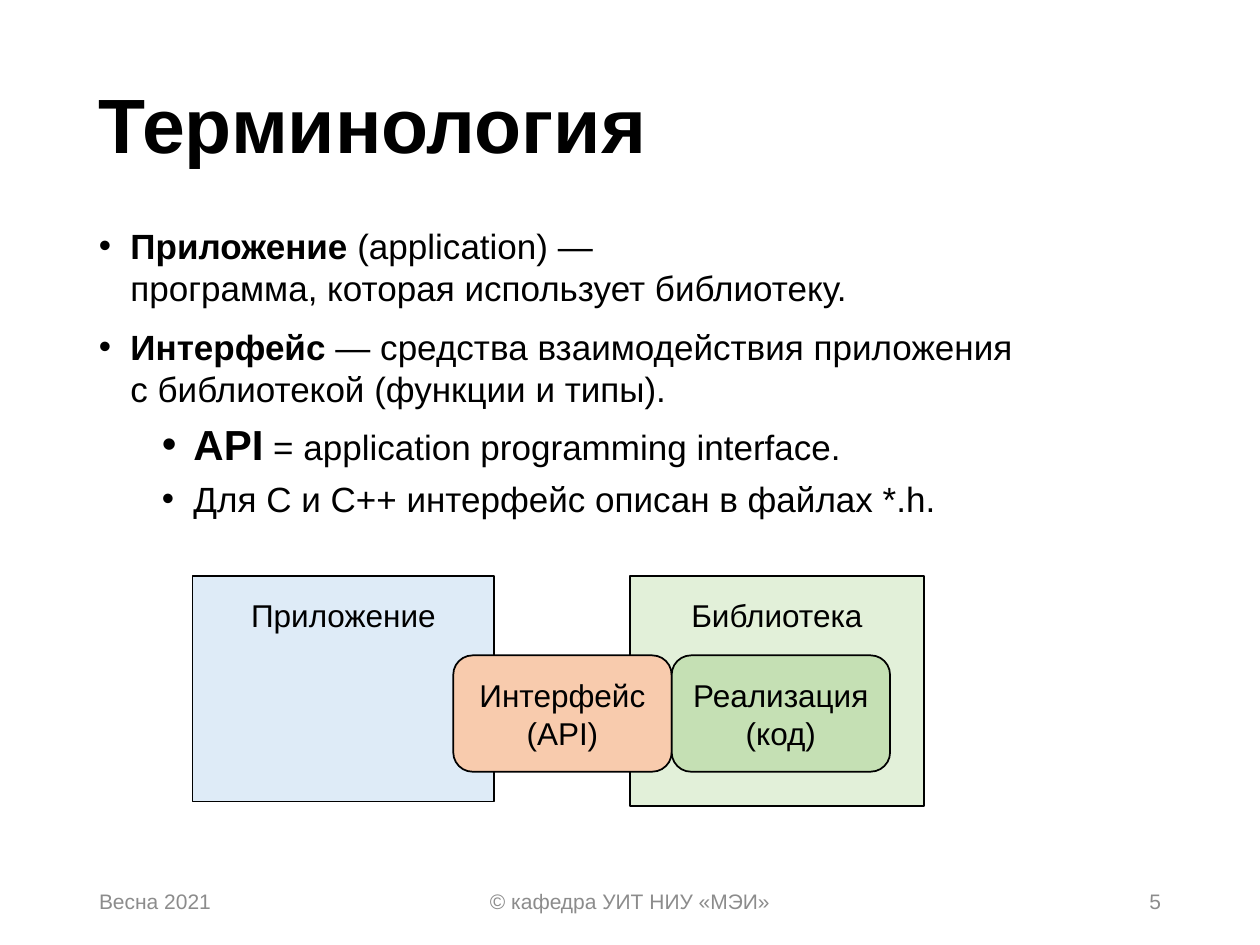
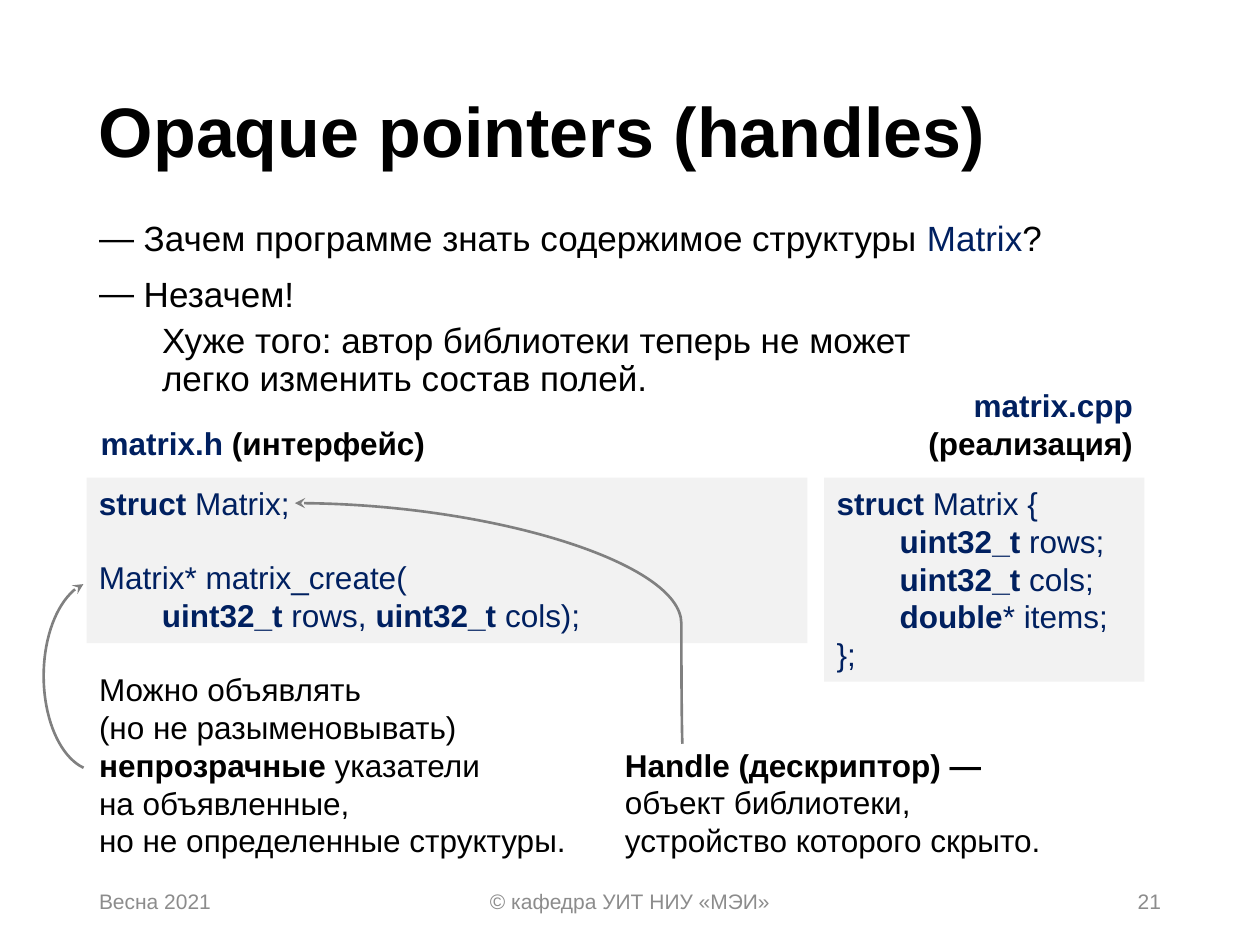
from dataclasses import dataclass
from lxml.etree import SubElement
from pptx import Presentation
from pptx.dml.color import RGBColor
from pptx.enum.shapes import MSO_CONNECTOR, MSO_SHAPE
from pptx.enum.text import MSO_ANCHOR, MSO_AUTO_SIZE, PP_ALIGN
from pptx.oxml.ns import qn
from pptx.util import Pt


@dataclass(frozen=True)
class Theme:
    font: str = "Arial"
    black: str = "000000"
    navy: str = "002060"
    footer_gray: str = "8C8C8C"
    arrow_gray: str = "808080"
    code_fill: str = "F2F2F2"
    application_fill: str = "DEEBF7"
    library_fill: str = "E2F0D9"
    interface_fill: str = "F8CBAD"
    implementation_fill: str = "C5E0B4"
    large_title: int = 44
    title: int = 40
    emphasis: int = 24
    body: int = 20
    label: int = 18
    footer: int = 12


THEME = Theme()
MARGIN = 49.5
CONTENT_WIDTH = 621
BOLD = {"bold": True}
NAVY = {"color": THEME.navy}
BULLET = {"bullet": "•", "left": 18, "hanging": 18, "before": 10}
SUB_BULLET = {"bullet": "•", "left": 54, "hanging": 18, "before": 5, "level": 1}
DASH = {"bullet": "—", "left": 18, "hanging": 18, "before": 10, "spacing": 0.9}
REMARK = {"left": 36, "before": 5, "spacing": 0.9, "level": 1}
INDENTED = {"left": 36}
AFTER_GAP = {"before": 20.7}

FOOTER = [
    (MARGIN, 162, "Весна 2021", PP_ALIGN.LEFT),
    (238.5, 243, "© кафедра УИТ НИУ «МЭИ»", PP_ALIGN.CENTER),
]

TERMS = [
    ([("Приложение", BOLD), " (application) —\nпрограмма, которая использует библиотеку."], BULLET),
    ([("Интерфейс", BOLD), " — средства взаимодействия приложения\nс библиотекой (функции и типы)."], BULLET),
    ([("API", {"bold": True, "size": THEME.emphasis}), " = application programming interface."], SUB_BULLET),
    (["Для C и C++ интерфейс описан в файлах *.h."], SUB_BULLET),
]
COMPONENTS = [
    ("Приложение", (110, 329, 172.5, 129), THEME.application_fill),
    ("Библиотека", (360, 329, 168, 131.5), THEME.library_fill),
]
PARTS = [
    ("Интерфейс\n(API)", THEME.interface_fill),
    ("Реализация\n(код)", THEME.implementation_fill),
]
PART_LEFT, PART_TOP, PART_WIDTH, PART_HEIGHT = 259, 374.5, 124.8, 66.5

DIALOGUE = [
    ([" Зачем программе знать содержимое структуры ", ("Matrix", NAVY), "?"], DASH),
    ([" Незачем!"], DASH),
    (["Хуже того: автор библиотеки теперь не может\nлегко изменить состав полей."], REMARK),
]
HEADER_CODE = [
    ([("struct", BOLD), " Matrix;"], {}),
    (["Matrix* matrix_create("], AFTER_GAP),
    ([("uint32_t", BOLD), " rows, ", ("uint32_t", BOLD), " cols);"], INDENTED),
]
FIELDS = [("uint32_t", " rows;"), ("uint32_t", " cols;"), ("double", "* items;")]
SOURCE_CODE = [
    ([("struct", BOLD), " Matrix {"], {}),
    *[([(kind, BOLD), name], INDENTED) for kind, name in FIELDS],
    (["};"], {}),
]
CODE_TOP = 273
CODE_BLOCKS = [
    (MARGIN, 412, 94.5, HEADER_CODE),
    (471, 183, 116.5, SOURCE_CODE),
]
CAPTIONS = [
    ((MARGIN, 239, 201.5, 29), [([("matrix.h ", NAVY), "(интерфейс)"], {})],
     {"bold": True, "align": PP_ALIGN.CENTER}),
    ((522, 217, 132.5, 51), [([("matrix.cpp\n", NAVY), "(реализация)"], {})],
     {"bold": True, "align": PP_ALIGN.RIGHT}),
    ((MARGIN, 379.5, 284.5, 116.5),
     [(["Можно объявлять\n(но не разыменовывать)\n", ("непрозрачные", BOLD),
        " указатели\nна объявленные,\nно не определенные структуры."], {})], {}),
    ((350, 422.5, 254, 73),
     [([("Handle (дескриптор) —\n", BOLD),
        "объект библиотеки,\nустройство которого скрыто."], {})], {}),
]


def in_points(*lengths):
    return [Pt(length) for length in lengths]


def add_run(paragraph, text, color, size, bold):
    for index, line in enumerate(text.split("\n")):
        if index:
            paragraph.add_line_break()
        if line:
            run = paragraph.add_run()
            run.text = line
            run.font.name = THEME.font
            run.font.size = Pt(size)
            run.font.bold = bold
            run.font.color.rgb = RGBColor.from_string(color)


def format_paragraph(paragraph, left=0, hanging=0, before=0, spacing=1.0, bullet=None, level=0):
    paragraph.level = level
    paragraph.space_before = Pt(before)
    paragraph.line_spacing = spacing
    properties = paragraph._p.get_or_add_pPr()
    properties.set("marL", str(Pt(left)))
    properties.set("indent", str(-Pt(hanging)))
    if bullet:
        SubElement(properties, qn("a:buFont")).set("typeface", THEME.font)
        SubElement(properties, qn("a:buChar")).set("char", bullet)
    else:
        SubElement(properties, qn("a:buNone"))


def write_text(shape, content, size=THEME.label, color=THEME.black, bold=False, align=PP_ALIGN.LEFT,
               anchor=MSO_ANCHOR.TOP, wrap=True, grow=False, top_inset=3.6, spacing=1.0):
    frame = shape.text_frame
    frame.word_wrap = wrap
    frame.auto_size = MSO_AUTO_SIZE.SHAPE_TO_FIT_TEXT if grow else MSO_AUTO_SIZE.NONE
    frame.vertical_anchor = anchor
    frame.margin_top = Pt(top_inset)
    paragraphs = [([content], {})] if isinstance(content, str) else content
    for index, (runs, layout) in enumerate(paragraphs):
        paragraph = frame.add_paragraph() if index else frame.paragraphs[0]
        paragraph.alignment = align
        format_paragraph(paragraph, **{"spacing": spacing, **layout})
        for run in runs:
            text, changes = (run, {}) if isinstance(run, str) else run
            add_run(paragraph, text, **{"color": color, "size": size, "bold": bold, **changes})


def add_text(slide, box, content, **text_format):
    write_text(slide.shapes.add_textbox(*in_points(*box)), content, **text_format)


def add_block(slide, kind, box, fill, content, outlined=True, **text_format):
    shape = slide.shapes.add_shape(kind, *in_points(*box))
    shape.shadow.inherit = False
    shape.fill.solid()
    shape.fill.fore_color.rgb = RGBColor.from_string(fill)
    if outlined:
        shape.line.color.rgb = RGBColor.from_string(THEME.black)
        shape.line.width = Pt(1)
    else:
        shape.line.fill.background()
    write_text(shape, content, **text_format)


def style_arrow(shape):
    shape.line.color.rgb = RGBColor.from_string(THEME.arrow_gray)
    shape.line.width = Pt(1.5)
    SubElement(shape.line._get_or_add_ln(), qn("a:tailEnd")).set("type", "stealth")


def add_pointer_arc(slide):
    arc = slide.shapes.add_shape(MSO_SHAPE.ARC, *in_points(25, 332, 61, 108.5))
    arc.adjustments[0] = 59
    arc.adjustments[1] = 156.9
    arc.shadow.inherit = False
    arc.fill.background()
    style_arrow(arc)


def add_handle_arrow(slide):
    arrow = slide.shapes.add_connector(MSO_CONNECTOR.CURVE, *in_points(168.5, 287.5, 390, 425))
    properties = arrow.element.spPr
    properties.find(qn("a:xfrm")).set("rot", str(180 * 60000))
    geometry = properties.find(qn("a:prstGeom"))
    guide = SubElement(geometry.find(qn("a:avLst")), qn("a:gd"))
    guide.set("name", "adj1")
    guide.set("fmla", "val 300")
    style_arrow(arrow)
    SubElement(properties, qn("a:effectLst"))


def add_base_slide(presentation, title, title_size, title_height, number):
    slide = presentation.slides.add_slide(presentation.slide_layouts[6])
    add_text(slide, (MARGIN, 29, CONTENT_WIDTH, title_height), title, size=title_size,
             bold=True, anchor=MSO_ANCHOR.MIDDLE, spacing=0.9)
    for left, width, text, align in [*FOOTER, (508.5, 162, str(number), PP_ALIGN.RIGHT)]:
        add_text(slide, (left, 500.5, width, 28.75), text, size=THEME.footer,
                 color=THEME.footer_gray, align=align, anchor=MSO_ANCHOR.MIDDLE)
    return slide


def build_terminology(presentation):
    slide = add_base_slide(presentation, "Терминология", THEME.large_title, 88.5, 5)
    add_text(slide, (MARGIN, 124.5, CONTENT_WIDTH, 193.5), TERMS, size=THEME.body)
    for name, box, fill in COMPONENTS:
        add_block(slide, MSO_SHAPE.RECTANGLE, box, fill, name, align=PP_ALIGN.CENTER, top_inset=11.5)
    for index, (name, fill) in enumerate(PARTS):
        box = (PART_LEFT + index * PART_WIDTH, PART_TOP, PART_WIDTH, PART_HEIGHT)
        add_block(slide, MSO_SHAPE.ROUNDED_RECTANGLE, box, fill, name,
                  align=PP_ALIGN.CENTER, anchor=MSO_ANCHOR.MIDDLE)


def build_handles(presentation):
    slide = add_base_slide(presentation, "Opaque pointers (handles)", THEME.title, 95.5, 21)
    add_text(slide, (MARGIN, 123, 613, 118), DIALOGUE, size=THEME.body)
    for left, width, height, code in CODE_BLOCKS:
        add_block(slide, MSO_SHAPE.RECTANGLE, (left, CODE_TOP, width, height), THEME.code_fill,
                  code, outlined=False, color=THEME.navy, grow=True)
    for box, content, text_format in CAPTIONS:
        add_text(slide, box, content, wrap=False, grow=True, **text_format)
    add_pointer_arc(slide)
    add_handle_arrow(slide)


def main():
    presentation = Presentation()
    presentation.slide_width = Pt(720)
    presentation.slide_height = Pt(540)
    build_terminology(presentation)
    build_handles(presentation)
    presentation.save("out.pptx")


if __name__ == "__main__":
    main()
